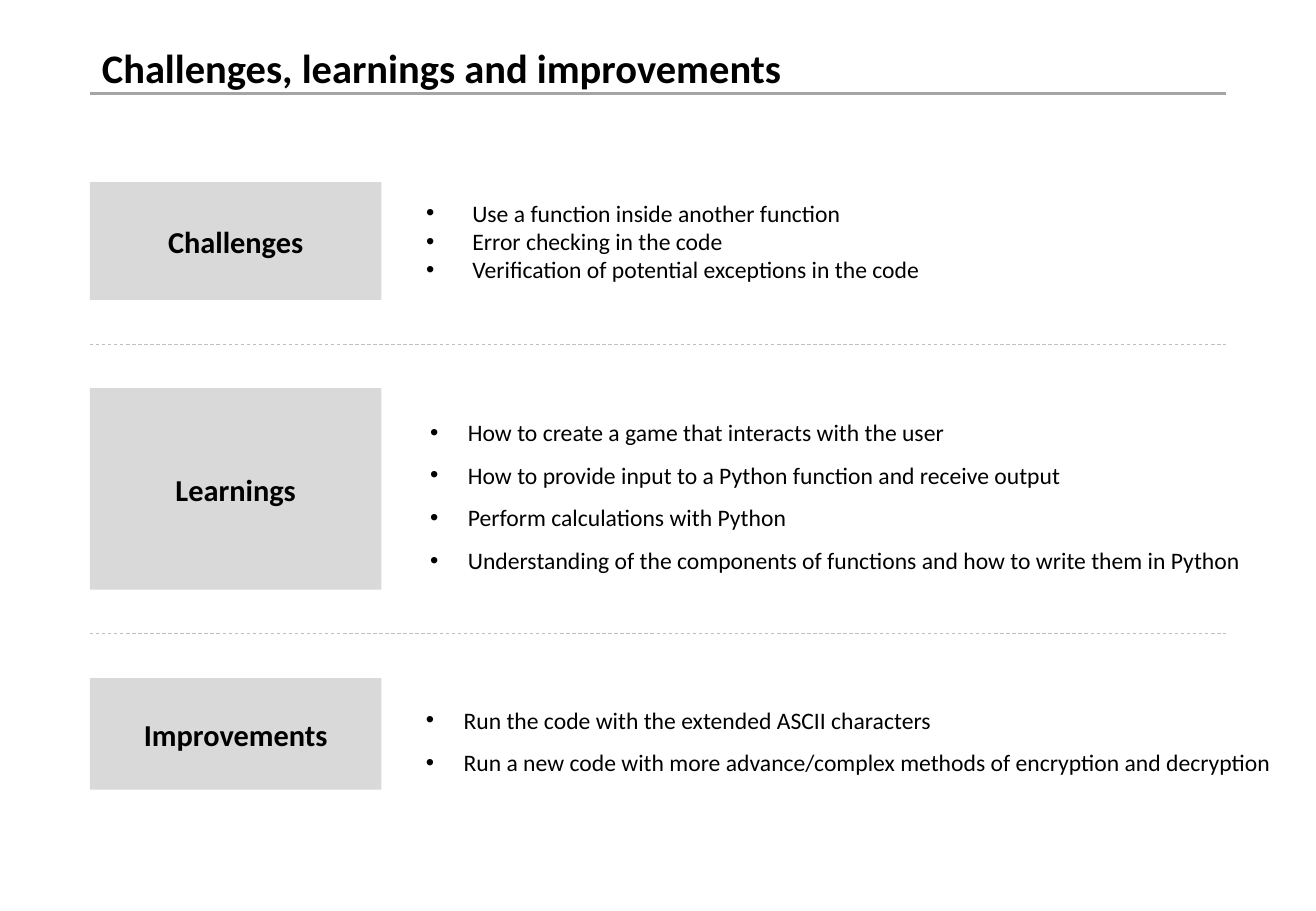
from lxml import etree
from pptx import Presentation, util as u
from pptx.dml.color import RGBColor
from pptx.enum import dml, shapes, text
from pptx.oxml.ns import qn

BLACK = RGBColor(0x00, 0x00, 0x00)
WHITE = RGBColor(0xFF, 0xFF, 0xFF)
PANEL = RGBColor(0xD9, 0xD9, 0xD9)
RULE = RGBColor(0xA5, 0xA5, 0xA5)
DIVIDER = RGBColor(0xBF, 0xBF, 0xBF)

CELL = u.Inches(0.1)
COLS, ROWS = 108.3, 75
LEFT, RIGHT = 7.4, 100.9
LABEL_WIDTH = 24
LIST_LEFT = 34.2
TOP, GAP = 15, 3.63

SECTIONS = [
    ("Challenges", 9.7, 69.7, 0.38, 1.0, [
        "Use a function inside another function",
        "Error checking in the code",
        "Verification of potential exceptions in the code",
    ]),
    ("Learnings", 16.6, 69.7, 0.31, 1.5, [
        "How to create a game that interacts with the user",
        "How to provide input to a Python function and receive output",
        "Perform calculations with Python",
        "Understanding of the components of functions and how to write them in Python",
    ]),
    ("Improvements", 9.2, 71.6, 0.31, 1.5, [
        "Run the code with the extended ASCII characters",
        "Run a new code with more advance/complex methods of encryption and decryption",
    ]),
]


def grid(*cells):
    return [round(n * CELL) for n in cells]


class Page:
    label = {"name": "Calibri", "size": u.Pt(18), "bold": True}
    item = {"name": "Calibri", "size": u.Pt(14), "bold": False}
    heading = {"name": "Calibri", "size": u.Pt(24), "bold": True}

    def __init__(self, prs):
        self.s = prs.slides.add_slide(prs.slide_layouts[6])

    def put_text(self, sp, lines, font, align, spacing=1.0):
        tf = sp.text_frame
        tf.word_wrap = True
        tf.vertical_anchor = text.MSO_ANCHOR.MIDDLE
        for i, line in enumerate(lines):
            p = tf.paragraphs[0] if i == 0 else tf.add_paragraph()
            p.alignment = align
            p.line_spacing = spacing
            r = p.add_run()
            r.text = line
            r.font.color.rgb = BLACK
            for key, value in font.items():
                setattr(r.font, key, value)
        return tf

    def title(self, line, *box):
        sp = self.s.shapes.add_textbox(*grid(*box))
        self.put_text(sp, [line], self.heading, text.PP_ALIGN.LEFT, 0.9)

    def panel(self, line, *box):
        sp = self.s.shapes.add_shape(shapes.MSO_SHAPE.RECTANGLE, *grid(*box))
        sp.shadow.inherit = False
        sp.fill.solid()
        sp.fill.fore_color.rgb = PANEL
        sp.line.fill.background()
        self.put_text(sp, [line], self.label, text.PP_ALIGN.CENTER)

    def bullets(self, lines, indent, spacing, *box):
        sp = self.s.shapes.add_shape(shapes.MSO_SHAPE.ROUNDED_RECTANGLE, *grid(*box))
        sp.shadow.inherit = False
        sp.fill.background()
        sp.line.color.rgb = WHITE
        sp.line.width = u.Pt(1)
        tf = self.put_text(sp, lines, self.item, text.PP_ALIGN.LEFT, spacing)
        insets = {"margin_left": 0.04, "margin_right": 0.04,
                  "margin_top": 0.05, "margin_bottom": 0.05}
        for key, value in insets.items():
            setattr(tf, key, u.Inches(value))
        for p in tf.paragraphs:
            pPr = p._p.get_or_add_pPr()
            pPr.set("marL", str(u.Inches(indent)))
            pPr.set("indent", str(-u.Inches(indent)))
            etree.SubElement(pPr, qn("a:buFont")).set("typeface", "Arial")
            etree.SubElement(pPr, qn("a:buChar")).set("char", "•")

    def line(self, y, color, width, dash=None):
        ends = grid(LEFT, y, RIGHT, y)
        sp = self.s.shapes.add_connector(shapes.MSO_CONNECTOR.STRAIGHT, *ends)
        sp.line.color.rgb = color
        sp.line.width = u.Pt(width)
        if dash:
            sp.line.dash_style = dash
        etree.SubElement(sp._element.spPr, qn("a:effectLst"))


def main():
    prs = Presentation()
    prs.slide_width, prs.slide_height = grid(COLS, ROWS)
    page = Page(prs)
    page.title("Challenges, learnings and improvements", LEFT, 1.4, 93.4, 8.8)
    page.line(7.7, RULE, 2.25)
    y = TOP
    for i, (name, height, width, indent, spacing, lines) in enumerate(SECTIONS):
        if i:
            page.line(y - GAP, DIVIDER, 0.5, dml.MSO_LINE.DASH)
        page.bullets(lines, indent, spacing, LIST_LEFT, y, width, height)
        page.panel(name, LEFT, y, LABEL_WIDTH, height)
        y += height + 2 * GAP
    prs.save("out.pptx")


if __name__ == "__main__":
    main()
